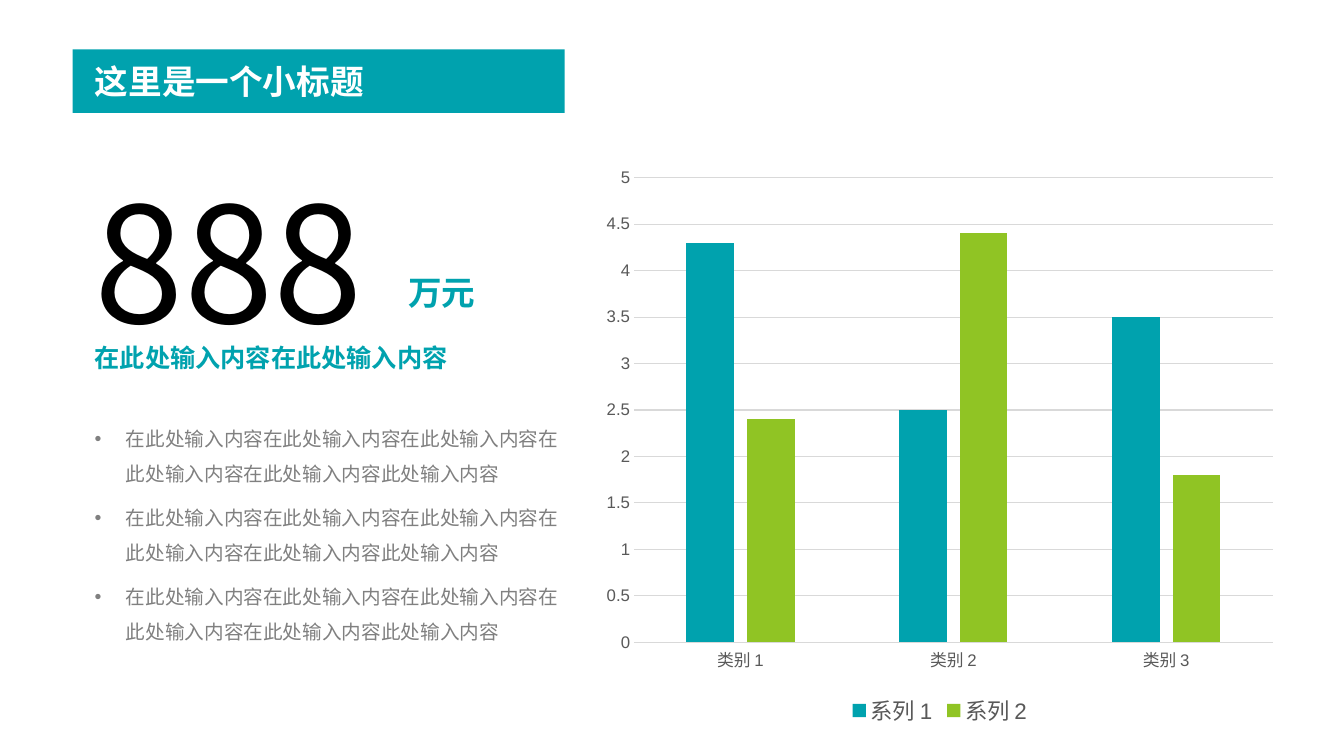
from dataclasses import dataclass

from lxml import etree
from pptx import Presentation
from pptx.chart.data import CategoryChartData
from pptx.dml.color import RGBColor
from pptx.enum import chart as ch, shapes, text
from pptx.oxml.ns import qn
from pptx.util import Inches, Pt


@dataclass(frozen=True)
class Theme:
    """Hold the colours, fonts and type sizes."""
    teal: str = "00A2AE"
    green: str = "90C424"
    white: str = "FFFFFF"
    black: str = "000000"
    gray: str = "808080"
    dark: str = "595959"
    pale: str = "D9D9D9"
    cjk: str = "Noto Sans CJK JP"
    latin: str = "Arial"
    huge: int = 115
    head: int = 24
    sub: int = 18
    legend: int = 16
    body: int = 14
    axis: int = 12


T = Theme()
ITEM = "在此处输入内容" * 5 + "此处输入内容"


def apply(obj, **vals):
    """Set attributes from format values."""
    for name, val in vals.items():
        setattr(obj, name, val)


def style(font, size, color, face, bold=False):
    """Format a font."""
    apply(font, size=Pt(size), name=face, bold=bold)
    font.color.rgb = RGBColor.from_string(color)


def place(shape, box):
    """Move and size a shape in inches."""
    for name, val in zip(("left", "top", "width", "height"), box):
        setattr(shape, name, Inches(val))


def bullet(para):
    """Give a paragraph a hanging bullet."""
    props = para._p.get_or_add_pPr()
    props.set("marL", str(Inches(0.31)))
    props.set("indent", str(-Inches(0.31)))
    etree.SubElement(props, qn("a:buFont")).set("typeface", T.latin)
    etree.SubElement(props, qn("a:buChar")).set("char", "•")


def write(shape, lines, size, color, bold=False, list_=False):
    """Fill a shape with styled paragraphs."""
    frame = shape.text_frame
    apply(frame, word_wrap=True, vertical_anchor=text.MSO_ANCHOR.TOP,
          auto_size=text.MSO_AUTO_SIZE.SHAPE_TO_FIT_TEXT)
    for i, line in enumerate(lines):
        para = frame.add_paragraph() if i else frame.paragraphs[0]
        if list_:
            bullet(para)
        apply(para, alignment=text.PP_ALIGN.LEFT,
              line_spacing=1.5 if list_ else 1.0,
              space_before=Pt(6 if i else 0))
        run = para.add_run()
        run.text = line
        style(run.font, size, color, T.cjk, bold)
        east = etree.SubElement(run._r.get_or_add_rPr(), qn("a:ea"))
        east.set("typeface", T.cjk)


def label(slide, box, lines, size, color, **kind):
    """Add a text box."""
    shape = slide.shapes.add_textbox(*map(Inches, box))
    write(shape, lines, size, color, **kind)


def title(slide, line):
    """Set the title on its teal bar."""
    bar = slide.shapes.add_shape(
        shapes.MSO_SHAPE.RECTANGLE, *map(Inches, (0.72, 0.49, 4.88, 0.63)))
    bar.shadow.inherit = False
    bar.fill.solid()
    bar.fill.fore_color.rgb = RGBColor.from_string(T.teal)
    bar.line.fill.background()
    head = slide.shapes.title
    head._element.addprevious(bar._element)
    place(head, (0.84, 0.55, 4.88, 0.5))
    write(head, [line], T.head, T.white, bold=True)


def rule(line):
    """Draw a thin pale chart line."""
    line.color.rgb = RGBColor.from_string(T.pale)
    line.width = Pt(0.75)


def columns(slide, box, cats, data):
    """Add the clustered column chart."""
    source = CategoryChartData()
    source.categories = cats
    for name, vals, _ in data:
        source.add_series(name, vals)
    chart = slide.shapes.add_chart(
        ch.XL_CHART_TYPE.COLUMN_CLUSTERED, *map(Inches, box), source).chart
    apply(chart, has_title=False, has_legend=True)
    style(chart.font, 10, T.black, T.latin)
    apply(chart.legend, position=ch.XL_LEGEND_POSITION.BOTTOM,
          include_in_layout=False)
    style(chart.legend.font, T.legend, T.dark, T.latin)
    cat, val = chart.category_axis, chart.value_axis
    for axis in (cat, val):
        apply(axis, major_tick_mark=ch.XL_TICK_MARK.NONE,
              minor_tick_mark=ch.XL_TICK_MARK.NONE)
        style(axis.tick_labels.font, T.axis, T.dark, T.latin)
    apply(val, minimum_scale=0, maximum_scale=5, major_unit=0.5,
          has_major_gridlines=True)
    rule(cat.format.line)
    rule(val.major_gridlines.format.line)
    val.format.line.fill.background()
    plot = chart.plots[0]
    apply(plot, gap_width=219, overlap=-27, vary_by_categories=False)
    for series, (_, _, color) in zip(plot.series, data):
        series.format.fill.solid()
        series.format.fill.fore_color.rgb = RGBColor.from_string(color)


def main():
    """Build and save the slide."""
    deck = Presentation()
    apply(deck, slide_width=Inches(13.33), slide_height=Inches(7.5))
    slide = deck.slides.add_slide(deck.slide_layouts[5])
    title(slide, "这里是一个小标题")
    label(slide, (0.84, 4.07, 4.88, 2.36), [ITEM] * 3, T.body, T.gray,
          list_=True)
    label(slide, (0.84, 1.56, 3.81, 2.04), ["888"], T.huge, T.black)
    label(slide, (0.84, 3.35, 4.88, 0.4), ["在此处输入内容" * 2], T.sub,
          T.teal, bold=True)
    label(slide, (3.95, 2.65, 1.65, 0.5), ["万元"], T.head, T.teal, bold=True)
    columns(slide, (5.88, 1.56, 6.88, 5.69), ["类别 1", "类别 2", "类别 3"],
            [("系列 1", (4.3, 2.5, 3.5), T.teal),
             ("系列 2", (2.4, 4.4, 1.8), T.green)])
    deck.save("out.pptx")


if __name__ == "__main__":
    main()
